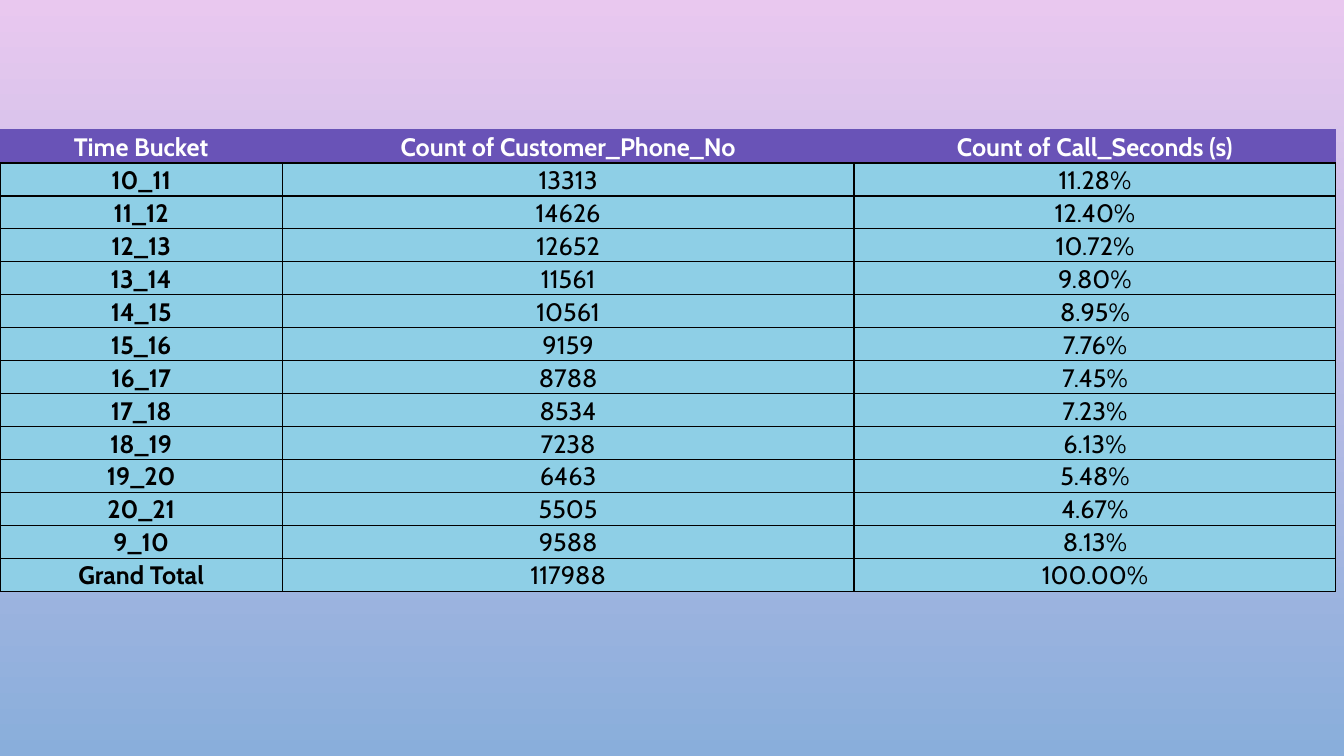
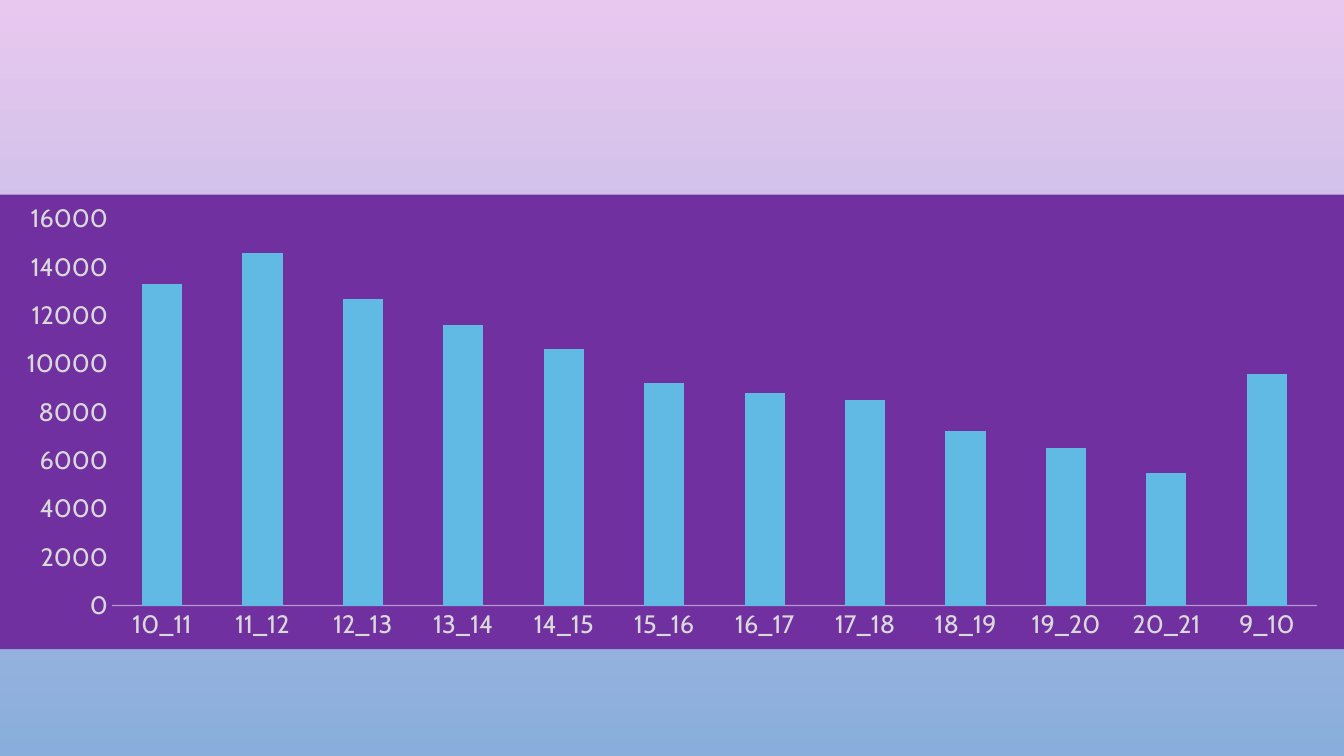
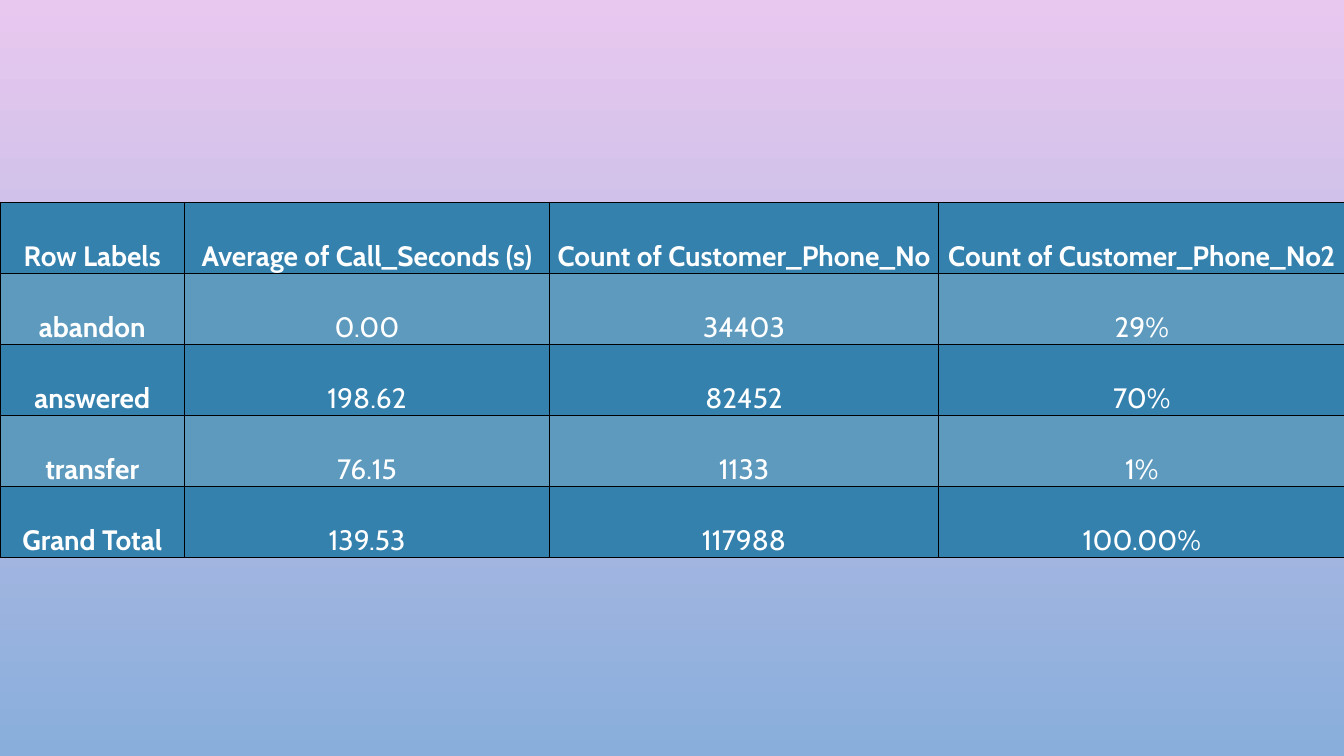
from dataclasses import dataclass

from lxml.etree import SubElement
from pptx import Presentation
from pptx.chart.data import CategoryChartData
from pptx.dml.color import RGBColor
from pptx.enum.chart import XL_CHART_TYPE, XL_TICK_MARK
from pptx.enum.text import MSO_ANCHOR, PP_ALIGN
from pptx.oxml import parse_xml
from pptx.oxml.ns import nsdecls, qn
from pptx.util import Inches, Pt


@dataclass(frozen=True)
class Theme:
    font: str = "Cabin"
    bucket_size: int = 18
    status_size: int = 20
    axis_size: int = 18
    background: tuple = ("E9C8EF", "89AEDB")
    white: str = "FFFFFF"
    black: str = "000000"
    violet: str = "6953B7"
    sky: str = "8ECFE6"
    blue: str = "3581AE"
    pale_blue: str = "5D9ABE"
    chart_fill: str = "7030A0"
    bars: str = "60BAE4"
    stack_top: tuple = ("A0308F", "CB52B5")
    axis_text: str = "D9D9D9"
    axis_line: str = "F2F2F2"


T = Theme()

BUCKETS = [
    ("Time Bucket", "Count of Customer_Phone_No", "Count of Call_Seconds (s)"),
    ("10_11", "13313", "11.28%"),
    ("11_12", "14626", "12.40%"),
    ("12_13", "12652", "10.72%"),
    ("13_14", "11561", "9.80%"),
    ("14_15", "10561", "8.95%"),
    ("15_16", "9159", "7.76%"),
    ("16_17", "8788", "7.45%"),
    ("17_18", "8534", "7.23%"),
    ("18_19", "7238", "6.13%"),
    ("19_20", "6463", "5.48%"),
    ("20_21", "5505", "4.67%"),
    ("9_10", "9588", "8.13%"),
    ("Grand Total", "117988", "100.00%"),
]

STATUSES = [
    ("Row Labels", "Average of Call_Seconds (s)",
     "Count of Customer_Phone_No", "Count of Customer_Phone_No2"),
    ("abandon", "0.00", "34403", "29%"),
    ("answered", "198.62", "82452", "70%"),
    ("transfer", "76.15", "1133", "1%"),
    ("Grand Total", "139.53", "117988", "100.00%"),
]


def set_attrs(obj, **values):
    for name, value in values.items():
        setattr(obj, name, value)


def set_font(font, size, color, bold=False):
    set_attrs(font, name=T.font, size=Pt(size), bold=bold)
    font.color.rgb = RGBColor.from_string(color)


def set_solid(fill, color):
    fill.solid()
    fill.fore_color.rgb = RGBColor.from_string(color)


def set_gradient(fill, colors):
    """Run the colours from top to bottom."""
    fill.gradient()
    fill.gradient_angle = 270
    for stop, color in zip(fill.gradient_stops, colors):
        stop.color.rgb = RGBColor.from_string(color)


def set_borders(cell, side_color, bottom_color):
    tcPr = cell._tc.get_or_add_tcPr()
    for i, side in enumerate("LRTB"):
        color = bottom_color if side == "B" else side_color
        tcPr.insert(i, parse_xml(
            f'<a:ln{side} {nsdecls("a")} w="12700"><a:solidFill>'
            f'<a:srgbClr val="{color}"/></a:solidFill></a:ln{side}>'))


def fill_cell(cell, text, size, color, bold, fill):
    set_attrs(cell, vertical_anchor=MSO_ANCHOR.BOTTOM,
              margin_left=Inches(0.07), margin_right=Inches(0.07),
              margin_top=0, margin_bottom=0)
    set_solid(cell.fill, fill)
    p = cell.text_frame.paragraphs[0]
    set_attrs(p, alignment=PP_ALIGN.CENTER, line_spacing=1.07, space_after=Pt(8))
    r = p.add_run()
    r.text = text
    set_font(r.font, size, color, bold)


def add_data_table(s, rows, top, height, widths, size, row_style):
    """row_style(i) gives the fill, text and side border colours of row i."""
    table = s.shapes.add_table(len(rows), len(widths), 0, Inches(top),
                               Inches(sum(widths)), Inches(height)).table
    set_attrs(table, first_row=False, horz_banding=False)
    for column, width in zip(table.columns, widths):
        column.width = Inches(width)
    for i, row in enumerate(rows):
        fill, color, side_color = row_style(i)
        for j, text in enumerate(row):
            cell = table.cell(i, j)
            fill_cell(cell, text, size, color, i == 0 or j == 0, fill)
            set_borders(cell, side_color, T.black)


def bucket_row_style(i):
    return (T.sky, T.black, T.black) if i else (T.violet, T.white, T.violet)


def status_row_style(i):
    return (T.pale_blue if i % 2 else T.blue), T.white, T.black


def style_axis(axis):
    set_attrs(axis, major_tick_mark=XL_TICK_MARK.NONE,
              minor_tick_mark=XL_TICK_MARK.NONE, has_major_gridlines=False)
    set_font(axis.tick_labels.font, T.axis_size, T.axis_text)


def add_call_chart(s, left, top, width, height):
    data = CategoryChartData()
    data.categories = [row[0] for row in BUCKETS[1:-1]]
    data.add_series("Series 1", [round(int(row[1]), -2) for row in BUCKETS[1:-1]])
    data.add_series("Series 2", [0] * len(data.categories))
    chart = s.shapes.add_chart(
        XL_CHART_TYPE.COLUMN_STACKED, Inches(left), Inches(top),
        Inches(width), Inches(height), data).chart
    set_attrs(chart, has_legend=False, has_title=False)
    set_font(chart.font, 10, T.black)
    chart._chartSpace.find(qn("c:chart")).addnext(parse_xml(
        f'<c:spPr {nsdecls("c", "a")}><a:solidFill><a:srgbClr val="{T.chart_fill}"/>'
        '</a:solidFill><a:ln><a:noFill/></a:ln></c:spPr>'))

    plot = chart.plots[0]
    set_attrs(plot, gap_width=150, overlap=100, vary_by_categories=False)
    calls, stack_top = plot.series
    set_solid(calls.format.fill, T.bars)
    set_gradient(stack_top.format.fill, T.stack_top)

    style_axis(chart.category_axis)
    line = chart.category_axis.format.line
    line.width = Pt(1)
    set_solid(line.fill, T.axis_line)
    rgb = line._ln.find(".//" + qn("a:srgbClr"))
    SubElement(rgb, qn("a:alpha"), val="54000")

    style_axis(chart.value_axis)
    set_attrs(chart.value_axis, minimum_scale=0, maximum_scale=16000, major_unit=2000)
    chart.value_axis.format.line.fill.background()


def main():
    prs = Presentation()
    set_attrs(prs, slide_width=Inches(13.33), slide_height=Inches(7.5))
    set_gradient(prs.slide_master.background.fill, T.background)
    bucket_slide, chart_slide, status_slide = (
        prs.slides.add_slide(prs.slide_layouts[6]) for _ in range(3))

    add_data_table(bucket_slide, BUCKETS, 1.29, 4.29, (2.8, 5.67, 4.78),
                   T.bucket_size, bucket_row_style)
    add_call_chart(chart_slide, 0, 1.93, 13.33, 4.51)
    add_data_table(status_slide, STATUSES, 2.01, 3.52, (1.83, 3.62, 3.86, 4.03),
                   T.status_size, status_row_style)
    prs.save("out.pptx")


if __name__ == "__main__":
    main()
